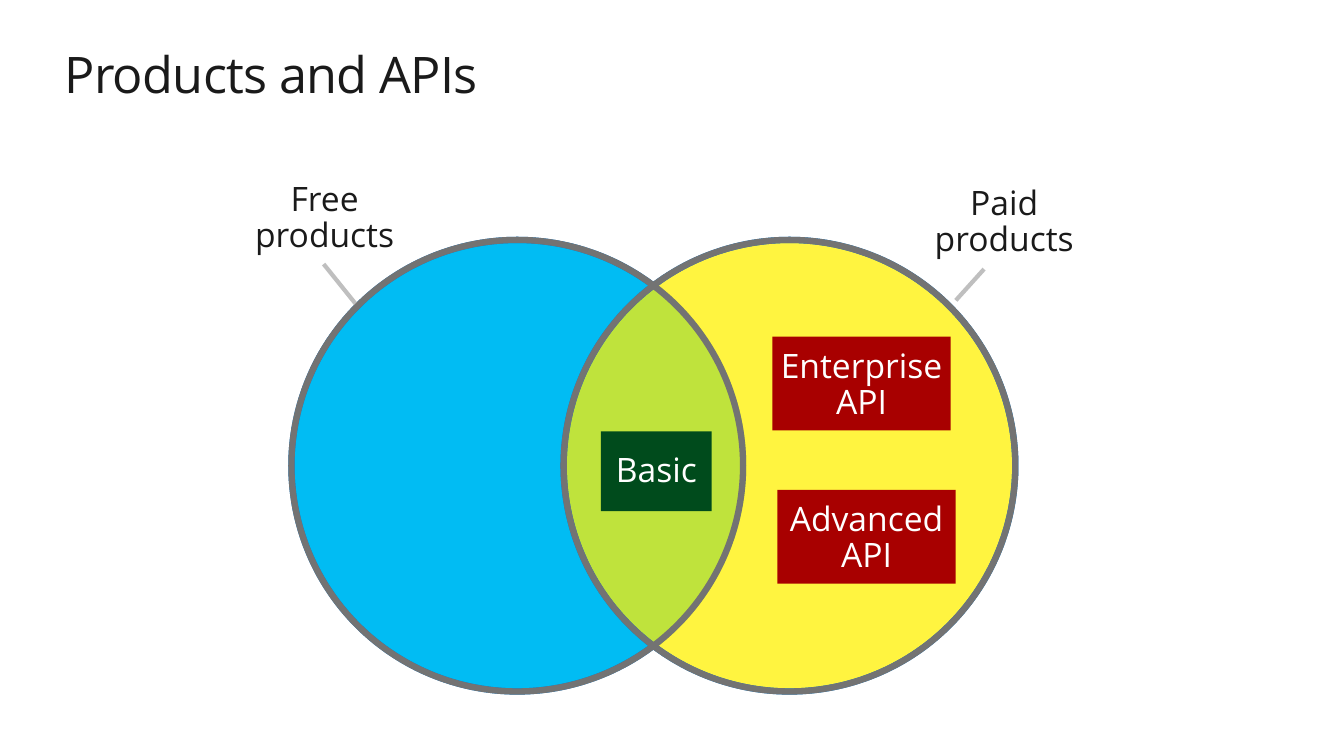
from pptx import Presentation
from pptx.dml.color import RGBColor
from pptx.enum import shapes, text
from pptx.oxml import parse_xml
from pptx.oxml.ns import nsdecls
from pptx.util import Inches, Pt

FONT = "Open Sans"
INK = RGBColor(0x1A, 0x1A, 0x1A)
WHITE = RGBColor(0xFF, 0xFF, 0xFF)
BLUE = RGBColor(0x01, 0xBC, 0xF3)
YELLOW = RGBColor(0xFF, 0xF1, 0x00)
OUTLINE = RGBColor(0x00, 0x78, 0xD4)
GRAY = RGBColor(0x73, 0x73, 0x73)
LEADER = RGBColor(0xBF, 0xBF, 0xBF)
GREEN = RGBColor(0x00, 0x4B, 0x1C)
RED = RGBColor(0xA8, 0x00, 0x00)

CIRCLE_TOP, CIRCLE_SIZE = 2.38, 4.48
FREE_LEFT, PAID_LEFT = 2.89, 5.59


def write_text(shape, wording, size=24, color=INK, align=text.PP_ALIGN.CENTER,
               anchor=text.MSO_ANCHOR.TOP, insets=(0, 0, 0, 0), spacing=None):
    """Fill a shape with one formatted paragraph."""
    frame = shape.text_frame
    frame.word_wrap = True
    frame.auto_size = text.MSO_AUTO_SIZE.NONE
    frame.vertical_anchor = anchor
    (frame.margin_left, frame.margin_top,
     frame.margin_right, frame.margin_bottom) = map(Inches, insets)
    paragraph = frame.paragraphs[0]
    paragraph.alignment = align
    paragraph.line_spacing = 0.9
    run = paragraph.add_run()
    run.text = wording
    run.font.name = FONT
    run.font.size = Pt(size)
    run.font.color.rgb = color
    if spacing is not None:
        run.font._element.set("spc", str(int(spacing * 100)))


def add_title(slide, wording):
    """Place and format the title placeholder."""
    title = slide.shapes.title
    title.left, title.top = Inches(0.64), Inches(0.5)
    title.width, title.height = Inches(12.05), Inches(0.61)
    write_text(title, wording, size=36, align=text.PP_ALIGN.LEFT, spacing=-0.5)


def add_circle(slide, left, line, fill=None, opacity=None):
    """Add one circle of the Venn diagram, unfilled unless a fill is given."""
    circle = slide.shapes.add_shape(
        shapes.MSO_SHAPE.OVAL, Inches(left), Inches(CIRCLE_TOP),
        Inches(CIRCLE_SIZE), Inches(CIRCLE_SIZE))
    circle.shadow.inherit = False
    circle.line.color.rgb = line
    circle.line.width = Pt(4.5)
    if fill is None:
        circle.fill.background()
        return
    circle.fill.solid()
    circle.fill.fore_color.rgb = fill
    if opacity is not None:
        color = circle._element.spPr.find(".//{*}solidFill/{*}srgbClr")
        color.append(parse_xml(
            f'<a:alpha {nsdecls("a")} val="{opacity * 1000}"/>'))


def add_product(slide, wording, left, top, width, height, fill, bottom_inset):
    """Add a filled product box with centred white text."""
    box = slide.shapes.add_shape(
        shapes.MSO_SHAPE.RECTANGLE, Inches(left), Inches(top),
        Inches(width), Inches(height))
    box.shadow.inherit = False
    box.fill.solid()
    box.fill.fore_color.rgb = fill
    box.line.fill.background()
    write_text(box, wording, color=WHITE, anchor=text.MSO_ANCHOR.MIDDLE,
               insets=(0.08, 0.08, 0.08, bottom_inset))


def add_label(slide, wording, left, top, width):
    """Add a centred label for a circle."""
    label = slide.shapes.add_textbox(
        Inches(left), Inches(top), Inches(width), Inches(0.81))
    write_text(label, wording)


def add_leader(slide, start, end):
    """Add a plain line between a circle and its label."""
    leader = slide.shapes.add_connector(
        shapes.MSO_CONNECTOR.STRAIGHT, *map(Inches, start + end))
    leader.line.color.rgb = LEADER
    leader.line.width = Pt(3)
    leader._element.spPr.append(parse_xml(f'<a:effectLst {nsdecls("a")}/>'))


def main():
    """Build the slide and save it."""
    presentation = Presentation()
    presentation.slide_width = Inches(13.33)
    presentation.slide_height = Inches(7.5)
    slide = presentation.slides.add_slide(presentation.slide_layouts[5])

    add_title(slide, "Products and APIs")
    add_circle(slide, FREE_LEFT, OUTLINE, BLUE)
    add_circle(slide, PAID_LEFT, OUTLINE, YELLOW, opacity=75)
    add_circle(slide, PAID_LEFT, GRAY)

    add_product(slide, "Basic", 5.96, 4.28, 1.1, 0.79, GREEN, 0.08)
    for wording, left, top in (("Enterprise API", 7.66, 3.34),
                               ("Advanced API", 7.71, 4.86)):
        add_product(slide, wording, left, top, 1.77, 0.93, RED, 0.04)

    add_label(slide, "Free products", 2.27, 1.81, 1.9)
    add_label(slide, "Paid products", 8.95, 1.85, 2.02)
    add_leader(slide, (3.54, 3.03), (3.21, 2.62))
    add_leader(slide, (9.48, 2.98), (9.76, 2.67))
    add_circle(slide, FREE_LEFT, GRAY)

    presentation.save("out.pptx")


if __name__ == "__main__":
    main()
